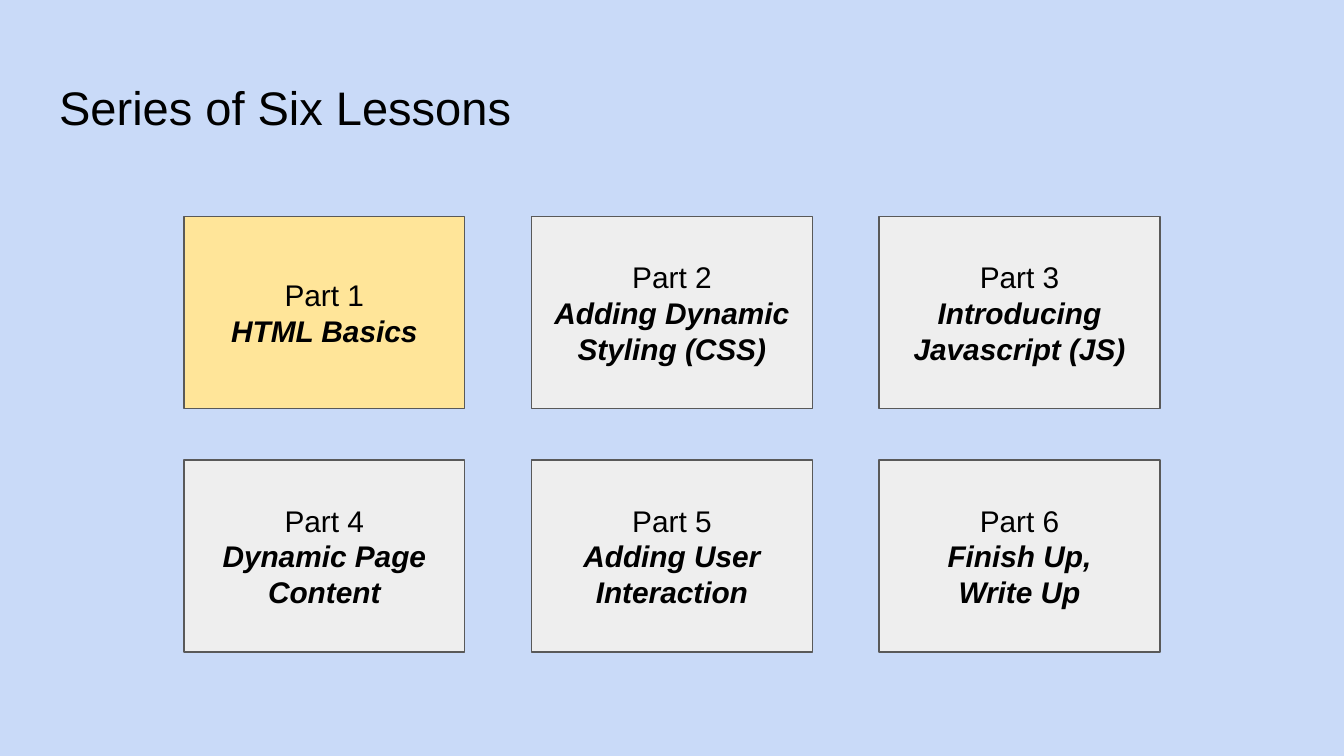
from pptx import Presentation
from pptx.dml.color import RGBColor
from pptx.enum.shapes import MSO_SHAPE as Preset
from pptx.enum.text import MSO_ANCHOR as Anchor, MSO_AUTO_SIZE as AutoSize, PP_ALIGN as Align
from pptx.util import Pt

TITLE = "Series of Six Lessons"
LESSONS = [
    ("Part 1", "HTML Basics"),
    ("Part 2", "Adding Dynamic Styling (CSS)"),
    ("Part 3", "Introducing Javascript (JS)"),
    ("Part 4", "Dynamic Page Content"),
    ("Part 5", "Adding User Interaction"),
    ("Part 6", "Finish Up,", "Write Up"),
]
CURRENT = 0
COLORS = {
    "background": "C9DAF8",
    "current": "FFE599",
    "lesson": "EEEEEE",
    "border": "595959",
    "text": "000000",
}
FONT = "Arial"
COLUMNS = 3
LEFT, TOP = 98.6, 116
CARD_WIDTH, CARD_HEIGHT = 150.4, 103
GAP_X, GAP_Y = 35.8, 27.4
INSET = 7.2


def color(name):
    return RGBColor.from_string(COLORS[name])


def write(frame, lines, size, align, anchor):
    frame.text = "\n".join(lines)
    frame.word_wrap = True
    frame.auto_size = AutoSize.NONE
    frame.vertical_anchor = anchor
    frame.margin_left = frame.margin_right = Pt(INSET)
    frame.margin_top = frame.margin_bottom = Pt(INSET)
    for index, paragraph in enumerate(frame.paragraphs):
        paragraph.alignment = align
        for run in paragraph.runs:
            run.font.name = FONT
            run.font.size = Pt(size)
            run.font.color.rgb = color("text")
            run.font.bold = run.font.italic = index > 0


def add_lesson(slide, index, lines):
    row, column = divmod(index, COLUMNS)
    card = slide.shapes.add_shape(
        Preset.FLOWCHART_PROCESS,
        Pt(LEFT + column * (CARD_WIDTH + GAP_X)),
        Pt(TOP + row * (CARD_HEIGHT + GAP_Y)),
        Pt(CARD_WIDTH),
        Pt(CARD_HEIGHT),
    )
    card.shadow.inherit = False
    card.fill.solid()
    card.fill.fore_color.rgb = color("current" if index == CURRENT else "lesson")
    card.line.color.rgb = color("border")
    card.line.width = Pt(0.75)
    write(card.text_frame, lines, 16, Align.CENTER, Anchor.MIDDLE)


def main():
    """Build the overview slide of the lesson series."""
    deck = Presentation()
    deck.slide_width, deck.slide_height = Pt(720), Pt(405)
    slide = deck.slides.add_slide(deck.slide_layouts[5])
    slide.background.fill.solid()
    slide.background.fill.fore_color.rgb = color("background")

    title = slide.shapes.title
    title.left, title.top, title.width, title.height = Pt(24.5), Pt(35), Pt(671), Pt(45.1)
    write(title.text_frame, [TITLE], 25.2, Align.LEFT, Anchor.TOP)

    for index, lines in enumerate(LESSONS):
        add_lesson(slide, index, lines)
    deck.save("out.pptx")


if __name__ == "__main__":
    main()
